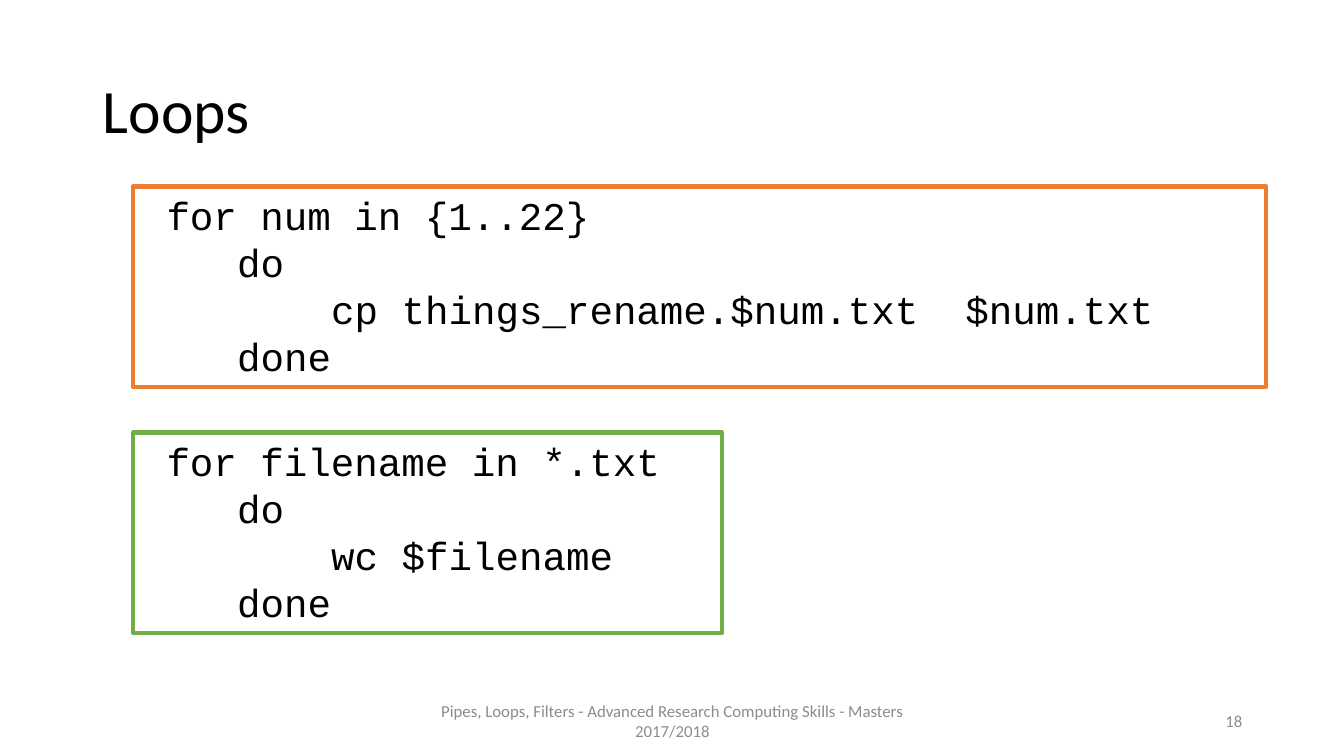
from pptx import Presentation
from pptx.dml.color import RGBColor
from pptx.enum.shapes import MSO_SHAPE as Shape
from pptx.enum.text import MSO_ANCHOR as Anchor, PP_ALIGN as Align
from pptx.util import Inches, Pt

COLORS = {"text": "000000", "muted": "8C8C8C", "paper": "FFFFFF",
          "orange": "ED7D31", "green": "70AD47"}
CODE_SIZE = 28
CHAR_WIDTH = CODE_SIZE * 0.6 / 72  # Courier New advance in inches


def color(name):
    return RGBColor.from_string(COLORS[name])


def add_span(para, text, size, font, tint):
    span = para.add_run()
    span.text = text
    span.font.size = Pt(size)
    span.font.name = font
    span.font.color.rgb = color(tint)


deck = Presentation()
deck.slide_width, deck.slide_height = Inches(13.33), Inches(7.5)
page = deck.slides.add_slide(deck.slide_layouts[5])

# Title
title = page.shapes.title
title.left, title.top = Inches(0.92), Inches(0.4)
title.width, title.height = Inches(11.5), Inches(1.45)
title.text_frame.vertical_anchor = Anchor.MIDDLE
para = title.text_frame.paragraphs[0]
para.alignment = Align.LEFT
para.line_spacing = 0.9
add_span(para, "Loops", 44, "Calibri", "text")

# Footer and page number
footers = [
    (3.92, 5.5, Align.CENTER,
     "Pipes, Loops, Filters - Advanced Research Computing Skills - Masters 2017/2018"),
    (9.42, 3, Align.RIGHT, "18"),
]
for left, width, alignment, text in footers:
    box = page.shapes.add_textbox(Inches(left), Inches(6.95), Inches(width), Inches(0.4))
    box.text_frame.word_wrap = True
    box.text_frame.vertical_anchor = Anchor.MIDDLE
    para = box.text_frame.paragraphs[0]
    para.alignment = alignment
    add_span(para, text, 12, "Calibri", "muted")

# Code boxes: each line is (indent in characters, code)
loops = [
    (1.85, 11.24, "orange", "for num in {1..22}", "cp things_rename.$num.txt  $num.txt"),
    (4.29, 5.84, "green", "for filename in *.txt", "wc $filename"),
]
for top, width, outline, header, command in loops:
    box = page.shapes.add_shape(Shape.RECTANGLE, Inches(1.32), Inches(top),
                                Inches(width), Inches(1.99))
    box.shadow.inherit = False
    box.fill.solid()
    box.fill.fore_color.rgb = color("paper")
    box.line.color.rgb = color(outline)
    box.line.width = Pt(3)
    frame = box.text_frame
    frame.word_wrap = True
    frame.vertical_anchor = Anchor.TOP
    lines = [(1, header), (4, "do"), (8, command), (4, "done")]
    for number, (indent, code) in enumerate(lines):
        para = frame.add_paragraph() if number else frame.paragraphs[0]
        para.alignment = Align.LEFT
        para._p.get_or_add_pPr().set("marL", str(Inches(indent * CHAR_WIDTH)))
        add_span(para, code, CODE_SIZE, "Courier New", "text")

deck.save("out.pptx")
